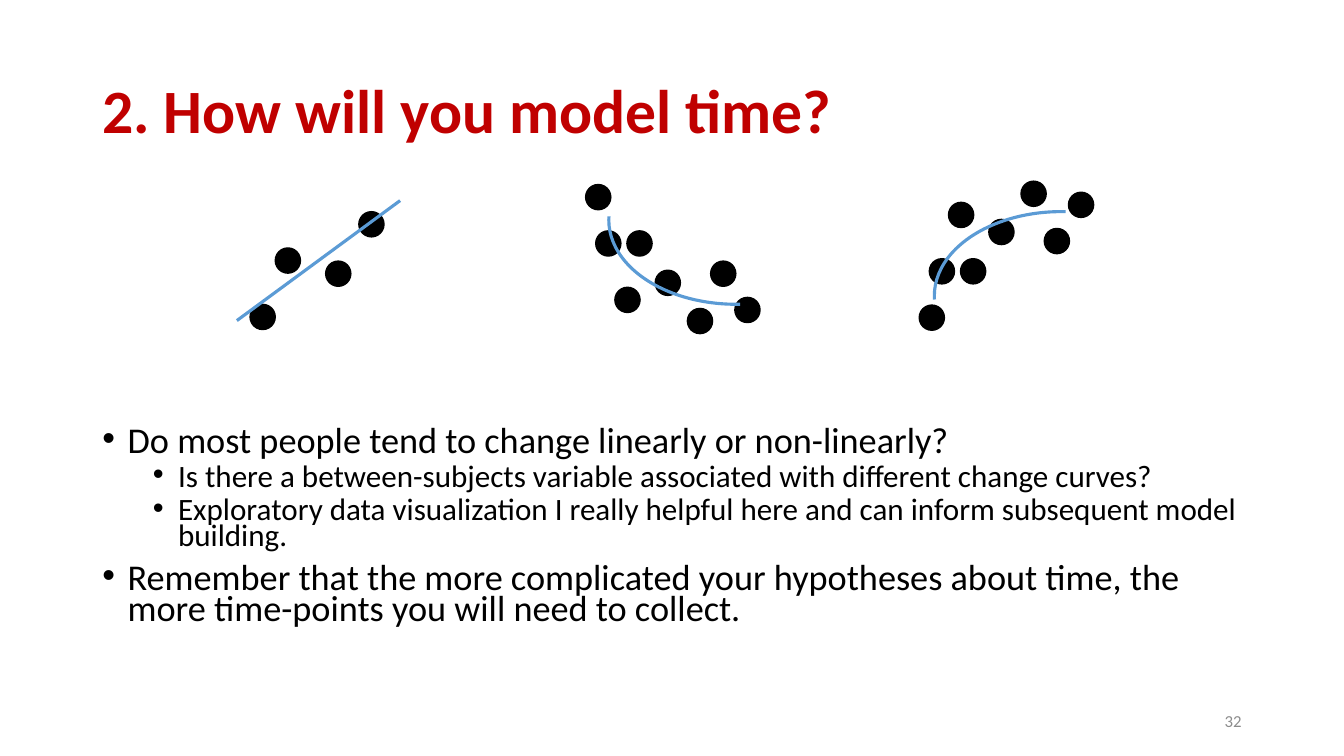
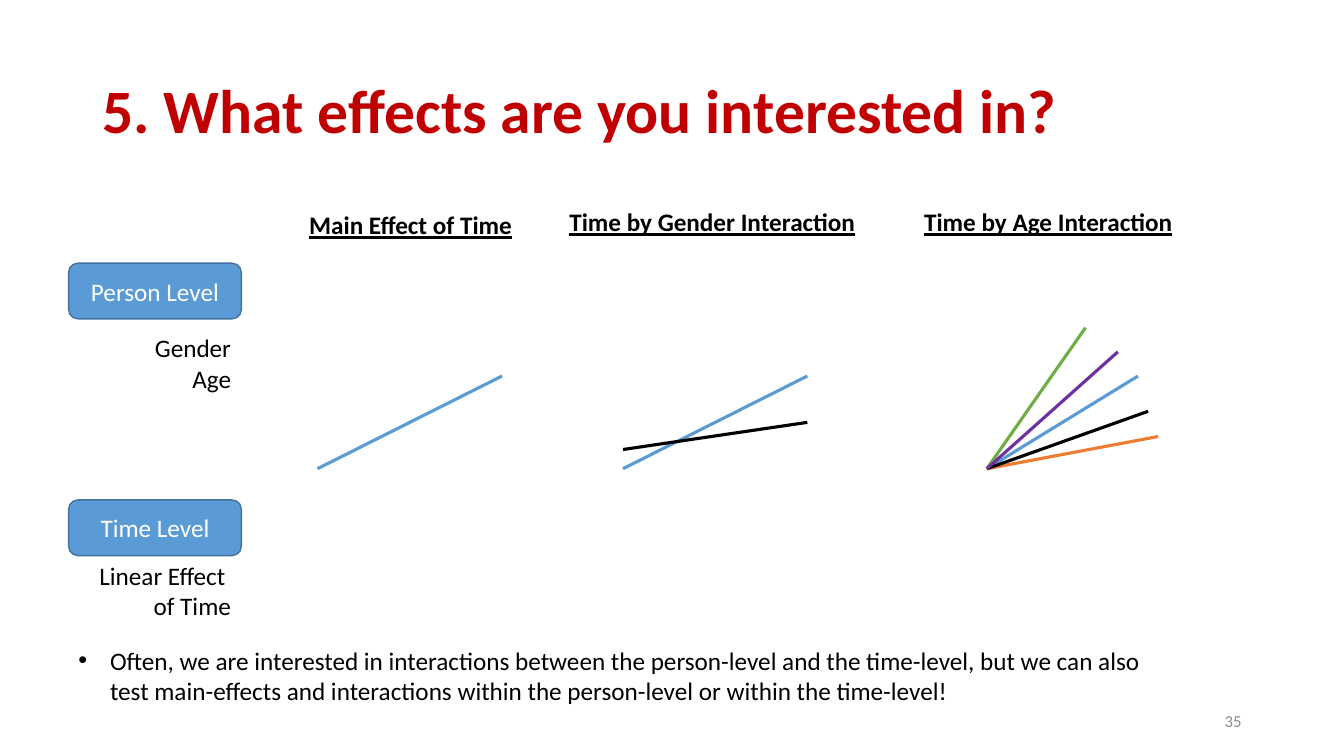
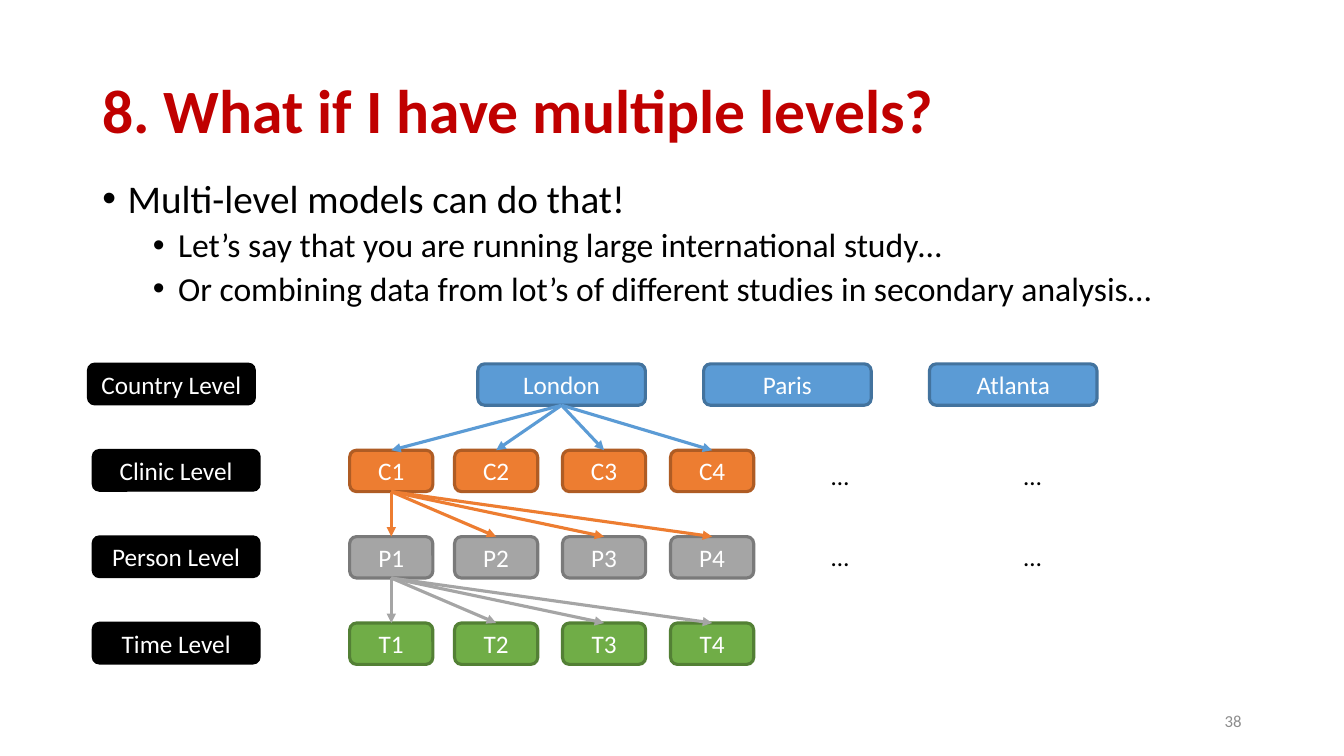
from lxml import etree
from pptx import Presentation
from pptx.dml.color import RGBColor
from pptx.enum.shapes import MSO_CONNECTOR, MSO_SHAPE
from pptx.enum.text import MSO_ANCHOR, MSO_AUTO_SIZE, PP_ALIGN
from pptx.oxml.ns import qn
from pptx.util import Pt

LEFT, CENTER, RIGHT = PP_ALIGN.LEFT, PP_ALIGN.CENTER, PP_ALIGN.RIGHT
TOP, MIDDLE = MSO_ANCHOR.TOP, MSO_ANCHOR.MIDDLE
FIXED_SIZE = MSO_AUTO_SIZE.NONE
STRAIGHT = MSO_CONNECTOR.STRAIGHT
ELLIPSE, ROUNDED, ARC = MSO_SHAPE.OVAL, MSO_SHAPE.ROUNDED_RECTANGLE, MSO_SHAPE.ARC
BOTTOM_SIDE, TOP_SIDE = 2, 0
TITLE_AND_BODY, TITLE_ONLY = 1, 5

FONT = "Calibri"
BLACK, WHITE, RED, MUTED = "000000", "FFFFFF", "C00000", "8C8C8C"
BLUE, ORANGE, GRAY, GREEN, PURPLE = "5B9BD5", "ED7D31", "A5A5A5", "70AD47", "7030A0"
OUTLINES = {BLUE: "43739E", ORANGE: "AF5C24", GRAY: "7A7A7A", GREEN: "538035", BLACK: BLACK}
MARGIN, CONTENT_WIDTH = 66, 828
THICK = 2.25
DOT_SIZE = 18

LINEAR_DOTS = [(178.6, 217.4), (196.6, 177.1), (232.6, 186.5), (256.3, 151.2)]
FALLING_DOTS = [(418.3, 131.8), (425.5, 164.9), (447.8, 164.9), (439.2, 205.2),
                (468, 193), (491, 220.3), (507.6, 186.5), (524.9, 212.4)]
MIRROR_SHIFT, MIRROR_SUM = 238.3, 349.7


def color(value):
    return RGBColor.from_string(value)


def place(shape, left, top, width, height):
    shape.left, shape.top = Pt(left), Pt(top)
    shape.width, shape.height = Pt(width), Pt(height)


def format_para(para, size, value, align=LEFT, bold=False, underline=False):
    para.alignment = align
    for span in para.runs:
        font = span.font
        font.name, font.size = FONT, Pt(size)
        font.bold, font.underline = bold, underline
        font.color.rgb = color(value)


def add_bullet(para, margin, hanging):
    properties = para._p.get_or_add_pPr()
    properties.set("marL", str(Pt(margin)))
    properties.set("indent", str(-Pt(hanging)))
    etree.SubElement(properties, qn("a:buFont")).set("typeface", "Arial")
    etree.SubElement(properties, qn("a:buChar")).set("char", "•")


def add_text(page, text, left, top, width, height, size=18, value=BLACK,
             align=LEFT, anchor=TOP, wrap=False, bold=False, underline=False):
    box = page.shapes.add_textbox(Pt(left), Pt(top), Pt(width), Pt(height))
    frame = box.text_frame
    frame.word_wrap, frame.vertical_anchor = wrap, anchor
    frame.text = text
    for para in frame.paragraphs:
        format_para(para, size, value, align, bold, underline)
    return box


def add_page(deck, layout, title, number):
    page = deck.slides.add_slide(deck.slide_layouts[layout])
    heading = page.shapes.title
    place(heading, MARGIN, 28.8, CONTENT_WIDTH, 104.4)
    frame = heading.text_frame
    frame.text = title
    frame.vertical_anchor, frame.auto_size = MIDDLE, FIXED_SIZE
    para = frame.paragraphs[0]
    para.line_spacing = 0.9
    format_para(para, 44, RED, bold=True)
    add_text(page, number, 678, 500.5, 216, 28.8, 12, MUTED, RIGHT, MIDDLE, True)
    return page


def fill_body(page, top, height, items, sizes, line_spacing):
    body = page.placeholders[1]
    place(body, MARGIN, top, CONTENT_WIDTH, height)
    frame = body.text_frame
    frame.text = "\n".join(text for text, level in items)
    frame.auto_size = FIXED_SIZE
    for para, (text, level) in zip(frame.paragraphs, items):
        para.level = level
        para.line_spacing = line_spacing
        para.space_before = Pt(5 if level else 10)
        format_para(para, sizes[level], BLACK)
        add_bullet(para, 18 + 36 * level, 18)


def add_outlined(page, kind, left, top, width, height, line, weight):
    shape = page.shapes.add_shape(kind, Pt(left), Pt(top), Pt(width), Pt(height))
    shape.shadow.inherit = False
    shape.line.color.rgb = color(line)
    shape.line.width = Pt(weight)
    return shape


def add_filled(page, kind, left, top, width, height, fill, weight=1):
    shape = add_outlined(page, kind, left, top, width, height, OUTLINES[fill], weight)
    shape.fill.solid()
    shape.fill.fore_color.rgb = color(fill)
    return shape


def add_card(page, text, left, top, width, height, fill, weight=1):
    card = add_filled(page, ROUNDED, left, top, width, height, fill, weight)
    frame = card.text_frame
    frame.text = text
    frame.vertical_anchor = MIDDLE
    format_para(frame.paragraphs[0], 18, WHITE, CENTER)
    return card


def add_dots(page, points):
    for left, top in points:
        add_filled(page, ELLIPSE, left, top, DOT_SIZE, DOT_SIZE, BLACK)


def add_curve(page, left, top, start_angle, end_angle):
    curve = add_outlined(page, ARC, left, top, 181.4, 120.2, BLUE, THICK)
    curve.fill.background()
    for index, angle in enumerate((start_angle, end_angle)):
        curve.adjustments[index] = angle * 0.6


def add_line(page, start, end, value):
    line = page.shapes.add_connector(STRAIGHT, *(Pt(length) for length in start + end))
    line.line.color.rgb = color(value)
    line.line.width = Pt(THICK)
    etree.SubElement(line._element.spPr, qn("a:effectLst"))
    return line


def add_arrow(page, parent, child, value):
    arrow = add_line(page, (0, 0), (0, 0), value)
    arrow.begin_connect(parent, BOTTOM_SIDE)
    arrow.end_connect(child, TOP_SIDE)
    etree.SubElement(arrow.line._get_or_add_ln(), qn("a:tailEnd")).set("type", "triangle")


def build_time_page(deck):
    page = add_page(deck, TITLE_AND_BODY, "2. How will you model time?", "32")
    fill_body(page, 303.1, 162, [
        ("Do most people tend to change linearly or non-linearly?", 0),
        ("Is there a between-subjects variable associated with different change curves?", 1),
        ("Exploratory data visualization I really helpful here and can inform "
         "subsequent model building.", 1),
        ("Remember that the more complicated your hypotheses about time, the more "
         "time-points you will need to collect.", 0),
    ], (25.9, 22.2), 0.7)
    add_dots(page, LINEAR_DOTS)
    add_line(page, (169.2, 229), (285.8, 143.3), BLUE)
    add_dots(page, FALLING_DOTS)
    add_curve(page, 434.9, 97.2, 87, 181.7)
    add_dots(page, [(left + MIRROR_SHIFT, MIRROR_SUM - top) for left, top in FALLING_DOTS])
    add_curve(page, 667.4, 151.2, 178.3, 273)


def build_effects_page(deck):
    page = add_page(deck, TITLE_ONLY, "5. What effects are you interested in?", "35")
    for text, top in (("Person Level", 188), ("Time Level", 357.1)):
        add_card(page, text, 49, top, 123.4, 39.8, BLUE)
    add_text(page, "Gender\nAge", 102.2, 234, 70, 51, align=RIGHT)
    add_text(page, "Linear Effect \nof Time", 61.9, 396.7, 110.2, 51, align=RIGHT)
    for text, left, top, width in (
        ("Main Effect of Time", 213.8, 146.2, 161.3),
        ("Time by Gender Interaction", 399.6, 144, 220.3),
        ("Time by Age Interaction", 653, 144, 193),
    ):
        add_text(page, text, left, top, width, 29, bold=True, underline=True)
    add_line(page, (226.8, 334.8), (358.6, 268.6), BLUE)
    add_line(page, (445, 334.8), (576.7, 268.6), BLUE)
    add_line(page, (445, 321.1), (576.7, 301.7), BLACK)
    for end, value in (((812.9, 268.6), BLUE), ((827.3, 311.8), ORANGE),
                       ((820.1, 293.8), BLACK), ((775.4, 234), GREEN),
                       ((798.5, 251.3), PURPLE)):
        add_line(page, (704.9, 334.8), end, value)
    note = add_text(page, "Often, we are interested in interactions between the person-level "
                    "and the time-level, but we can also test main-effects and interactions "
                    "within the person-level or within the time-level!",
                    49, 457.2, 797, 51, wrap=True)
    add_bullet(note.text_frame.paragraphs[0], 22.5, 22.5)


def build_levels_page(deck):
    page = add_page(deck, TITLE_AND_BODY, "8. What if I have multiple levels?", "38")
    fill_body(page, 124.6, 99.4, [
        ("Multi-level models can do that!", 0),
        ("Let’s say that you are running large international study…", 1),
        ("Or combining data from lot’s of different studies in secondary analysis…", 1),
    ], (28, 24), 0.9)
    row_tops = [259.9 + 61.7 * row for row in range(4)]
    height, wide, narrow = 29.6, 119.7, 59.4
    labels = ("Country Level", "Clinic Level", "Person Level", "Time Level")
    for text, left, top in zip(labels, (62.6, 66, 66, 66), row_tops):
        add_card(page, text, left, top - 0.4, wide, height, BLACK)
    cities = [add_card(page, text, 341.3 + 161.3 * column, row_tops[0],
                       wide, height, BLUE, THICK)
              for column, text in enumerate(("London", "Paris", "Atlanta"))]
    parent, parent_fill = cities[0], BLUE
    for letter, fill, top in zip("CPT", (ORANGE, GRAY, GREEN), row_tops[1:]):
        cards = [add_card(page, f"{letter}{number}", left, top, narrow, height, fill, THICK)
                 for number, left in enumerate((249.8, 324.7, 401.8, 479), 1)]
        for card in cards:
            add_arrow(page, parent, card, parent_fill)
        parent, parent_fill = cards[0], fill
    for top in (325.4, 383):
        for left in (586.8, 724.3):
            add_text(page, "…", left, top, 27.4, 29)


def main():
    deck = Presentation()
    deck.slide_width, deck.slide_height = Pt(960), Pt(540)
    build_time_page(deck)
    build_effects_page(deck)
    build_levels_page(deck)
    deck.save("out.pptx")


if __name__ == "__main__":
    main()
